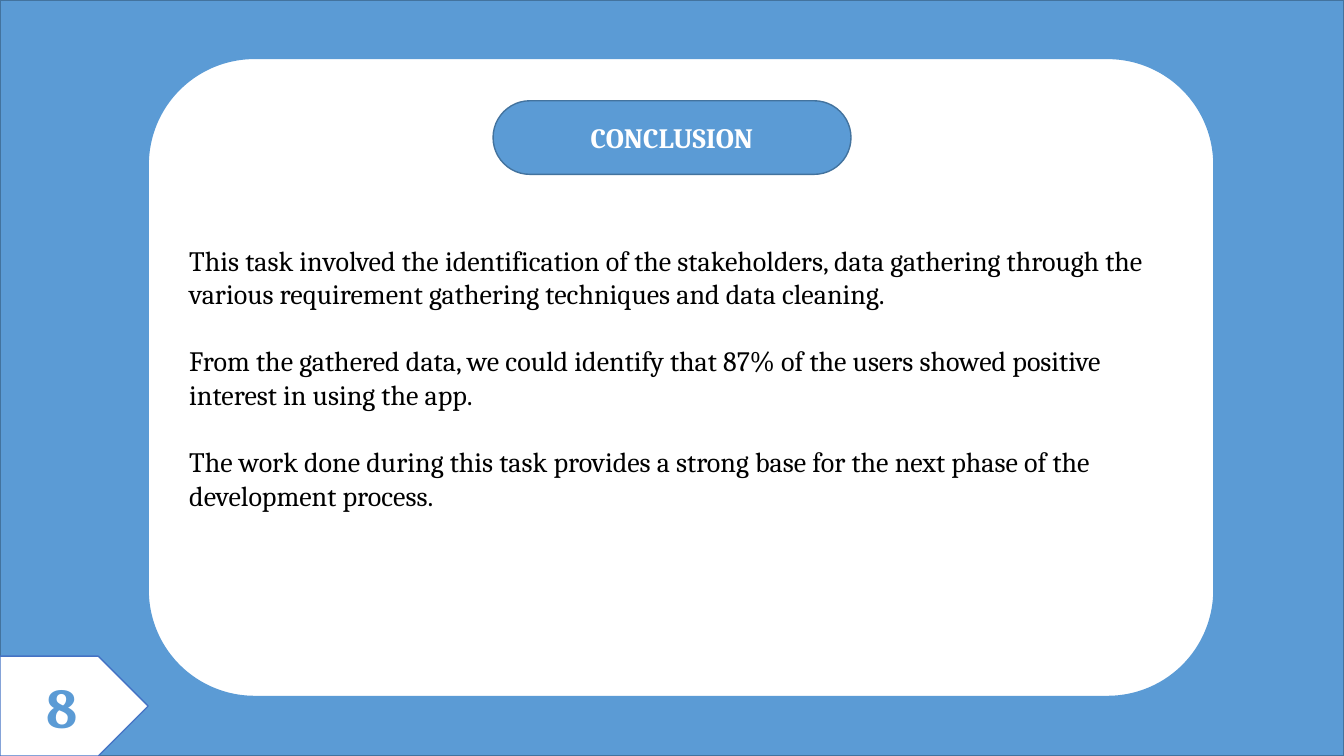
import pptx
import pptx.dml.color
import pptx.enum.shapes
import pptx.enum.text
import pptx.util

Inches = pptx.util.Inches
Pt = pptx.util.Pt
SHAPE = pptx.enum.shapes.MSO_SHAPE
ALIGN = pptx.enum.text.PP_ALIGN
WIDTH, HEIGHT = 13.33, 7.5
BLUE, DARK_BLUE, WHITE, BLACK = "5B9BD5", "43739E", "FFFFFF", "000000"


def colour(hex_code):
    return pptx.dml.color.RGBColor.from_string(hex_code)


class ConclusionSlide:
    font = "Cambria"
    line_width = 1

    def __init__(self, presentation):
        self.slide = presentation.slides.add_slide(presentation.slide_layouts[5])

    def shape(self, kind, box, fill, line):
        shape = self.slide.shapes.add_shape(kind, *map(Inches, box))
        shape.shadow.inherit = False
        shape.fill.solid()
        shape.fill.fore_color.rgb = colour(fill)
        shape.line.color.rgb = colour(line)
        shape.line.width = Pt(self.line_width)
        return shape

    def text(self, shape, paragraphs, size, ink, bold=False, align=ALIGN.CENTER, gap=0):
        frame = shape.text_frame
        frame.word_wrap = True
        frame.auto_size = pptx.enum.text.MSO_AUTO_SIZE.NONE
        frame.vertical_anchor = pptx.enum.text.MSO_ANCHOR.MIDDLE
        for index, words in enumerate(paragraphs):
            paragraph = frame.add_paragraph() if index else frame.paragraphs[0]
            paragraph.alignment = align
            paragraph.space_before = Pt(gap if index else 0)
            run = paragraph.add_run()
            run.text = words
            run.font.name = self.font
            run.font.size = Pt(size)
            run.font.bold = bold
            run.font.color.rgb = colour(ink)

    def title(self, words, box):
        heading = self.slide.shapes.title
        heading.left, heading.top, heading.width, heading.height = map(Inches, box)
        self.text(heading, [words], 20, WHITE, bold=True)
        self.slide.shapes._spTree.append(heading._element)


def main():
    presentation = pptx.Presentation()
    presentation.slide_width = Inches(WIDTH)
    presentation.slide_height = Inches(HEIGHT)
    conclusion = ConclusionSlide(presentation)

    conclusion.shape(SHAPE.RECTANGLE, (0, 0, WIDTH, HEIGHT), BLUE, DARK_BLUE)

    findings = conclusion.shape(
        SHAPE.ROUNDED_RECTANGLE, (1.47, 0.58, 10.57, 6.33), WHITE, BLUE)
    conclusion.text(findings, [
        "This task involved the identification of the stakeholders, data gathering "
        "through the various requirement gathering techniques and data cleaning.",
        "From the gathered data, we could identify that 87% of the users showed "
        "positive interest in using the app.",
        "The work done during this task provides a strong base for the next phase "
        "of the development process.",
    ], 20, BLACK, align=ALIGN.LEFT, gap=24)

    heading_box = (4.89, 1, 3.55, 0.73)
    heading_pill = conclusion.shape(SHAPE.ROUNDED_RECTANGLE, heading_box, BLUE, DARK_BLUE)
    heading_pill.adjustments[0] = 0.5
    conclusion.title("CONCLUSION", heading_box)

    page_number = conclusion.shape(SHAPE.PENTAGON, (0, 6.51, 1.47, 0.99), WHITE, "4472C4")
    conclusion.text(page_number, ["8"], 40, BLUE, bold=True)

    presentation.save("out.pptx")


if __name__ == "__main__":
    main()
